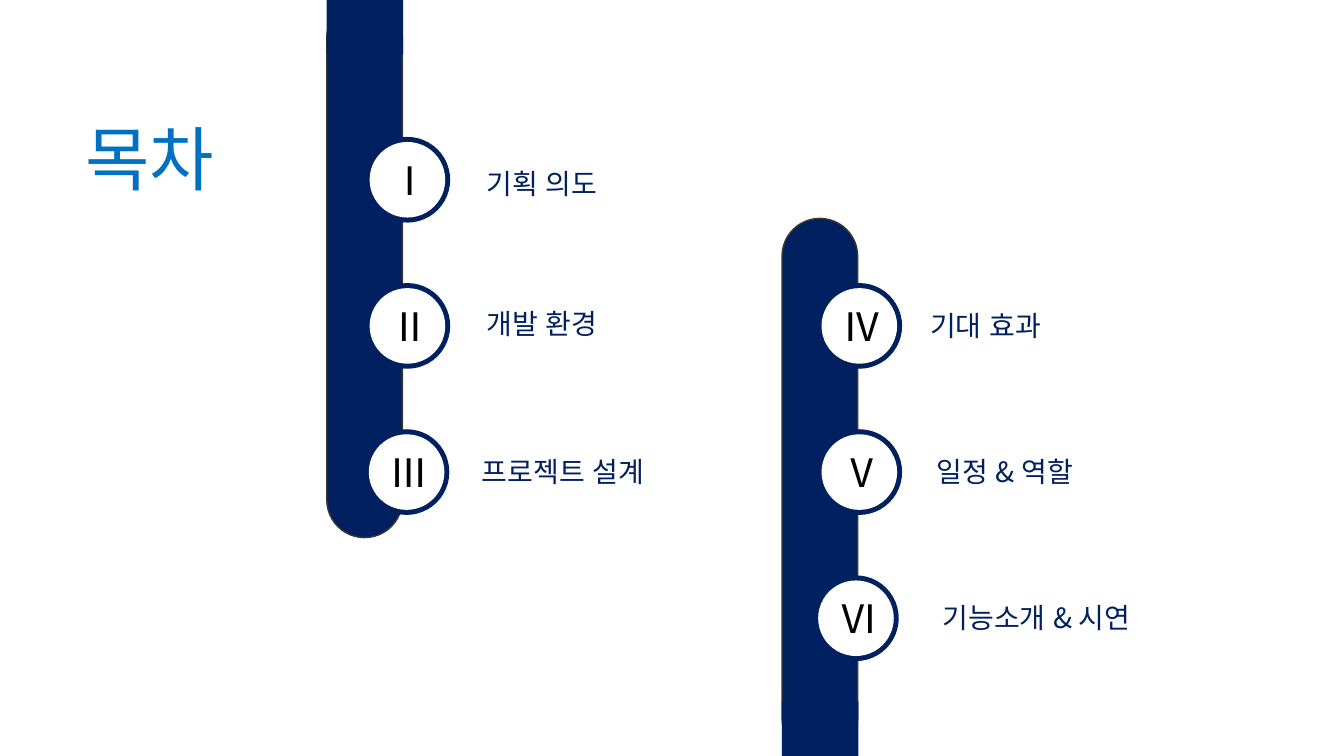
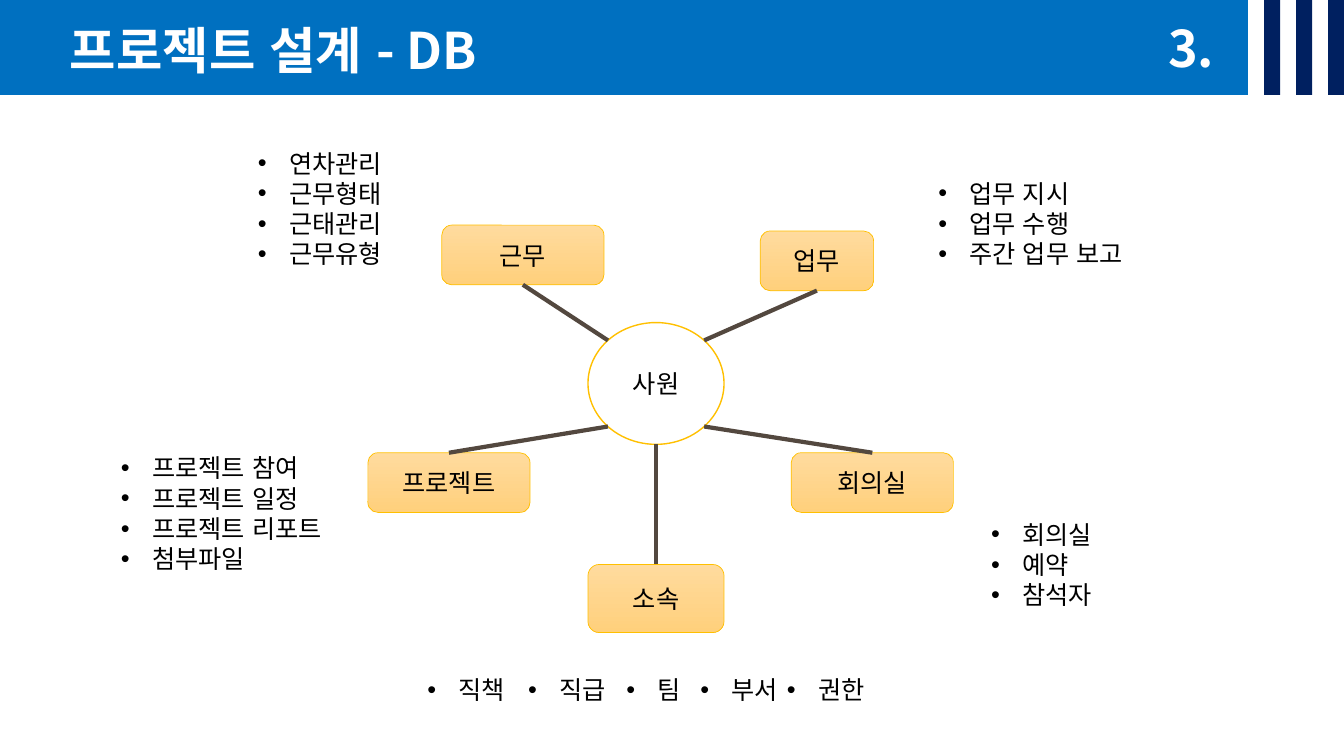
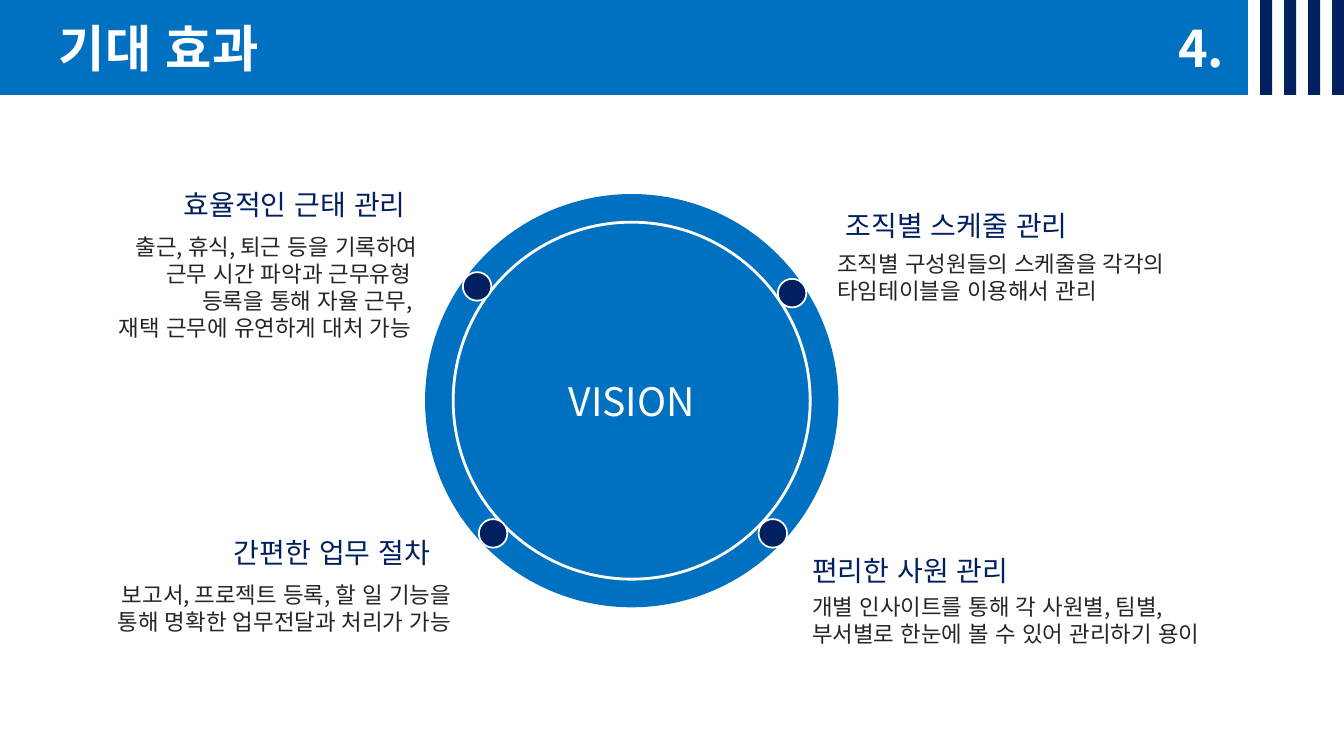
from math import cos, pi

from lxml.etree import SubElement
from pptx import Presentation
from pptx.dml.color import RGBColor
from pptx.enum.lang import MSO_LANGUAGE_ID
from pptx.enum.shapes import MSO_CONNECTOR, MSO_SHAPE
from pptx.enum.text import MSO_ANCHOR, MSO_AUTO_SIZE, PP_ALIGN
from pptx.oxml.ns import qn
from pptx.util import Inches, Pt

FONT = "Noto Sans CJK KR"
COLORS = {
    "blue": "0070C0", "navy": "002060", "white": "FFFFFF", "black": "000000",
    "text": "262626", "outline": "3D352F", "link": "53483F", "gold": "FFC000",
    "node_top": "FFDB9E", "node_bottom": "FFD07C",
}
COLUMNS, ROWS = 160, 90
BAND_HEIGHT = 11.3
TITLE_ONLY, FOUR_BODIES = 5, 4
LEFT, CENTER, RIGHT = PP_ALIGN.LEFT, PP_ALIGN.CENTER, PP_ALIGN.RIGHT


def color(name):
    return RGBColor.from_string(COLORS[name])


class Deck:
    """Holds the style and the current slide; lengths are grid columns and rows."""

    def __init__(self):
        self.presentation = Presentation()
        self.presentation.slide_width = Inches(13.33)
        self.presentation.slide_height = Inches(7.5)
        self.column = self.presentation.slide_width / COLUMNS
        self.row = self.presentation.slide_height / ROWS

    def box(self, left, top, width, height):
        return (round(left * self.column), round(top * self.row),
                round(width * self.column), round(height * self.row))

    def add_slide(self, layout):
        layouts = self.presentation.slide_layouts
        self.slide = self.presentation.slides.add_slide(layouts[layout])
        self.bodies = iter(list(self.slide.placeholders)[1:])

    def set_text(self, shape, text, size, fill, align=CENTER, anchor=MSO_ANCHOR.TOP,
                 bold=False, bullet=False):
        frame = shape.text_frame
        frame.text = text
        frame.word_wrap = True
        frame.auto_size = MSO_AUTO_SIZE.NONE
        frame.vertical_anchor = anchor
        for paragraph in frame.paragraphs:
            paragraph.alignment = align
            paragraph.space_before = Pt(0)
            self.set_bullet(paragraph, bullet)
            for run in paragraph.runs:
                run.font.size = Pt(size)
                run.font.bold = bold
                run.font.color.rgb = color(fill)
                run.font.name = FONT
                run.font.language_id = MSO_LANGUAGE_ID.KOREAN
                properties = run._r.get_or_add_rPr()
                SubElement(properties, qn("a:ea")).set("typeface", FONT)

    def set_bullet(self, paragraph, bullet):
        properties = paragraph._p.get_or_add_pPr()
        indent = Inches(0.31) if bullet else 0
        properties.set("marL", str(indent))
        properties.set("indent", str(-indent))
        if bullet:
            SubElement(properties, qn("a:buFont")).set("typeface", "Arial")
            SubElement(properties, qn("a:buChar")).set("char", "•")
        else:
            SubElement(properties, qn("a:buNone"))

    def place(self, shape, box):
        shape.left, shape.top, shape.width, shape.height = self.box(*box)

    def title(self, text, box, size=36, fill="white", bold=True):
        """Fill the title placeholder and bring it in front of the band."""
        title = self.slide.shapes.title
        self.place(title, box)
        self.set_text(title, text, size, fill, bold=bold)
        self.slide.shapes._spTree.append(title._element)

    def body(self, text, box, size, fill, **style):
        """Fill the next body placeholder of the layout."""
        body = next(self.bodies)
        self.place(body, box)
        self.set_text(body, text, size, fill, **style)

    def label(self, text, box, size, fill, **style):
        label = self.slide.shapes.add_textbox(*self.box(*box))
        self.set_text(label, text, size, fill, **style)

    def shape(self, kind, box, fill, line=None, line_width=1.0):
        shape = self.slide.shapes.add_shape(kind, *self.box(*box))
        shape.shadow.inherit = False
        shape.fill.solid()
        shape.fill.fore_color.rgb = color(fill)
        if line:
            shape.line.color.rgb = color(line)
            shape.line.width = Pt(line_width)
        else:
            shape.line.fill.background()
        return shape

    def circle(self, x, y, diameter, fill, line=None, line_width=1.0):
        """Draw a circle around the centre x, y."""
        box = (x - diameter / 2, y - diameter / 2, diameter, diameter)
        return self.shape(MSO_SHAPE.OVAL, box, fill, line, line_width)

    def header(self, title, title_box, number, number_left, stripes):
        self.shape(MSO_SHAPE.RECTANGLE, (0, 0, COLUMNS, BAND_HEIGHT), "blue")
        left = COLUMNS - 11.4
        self.shape(MSO_SHAPE.RECTANGLE, (left, 0, 11.4, BAND_HEIGHT), "white")
        width = 11.4 / (2 * stripes)
        for stripe in range(stripes):
            stripe_left = left + (2 * stripe + 1) * width
            self.shape(MSO_SHAPE.RECTANGLE, (stripe_left, 0, width, BAND_HEIGHT), "navy")
        self.title(title, title_box)
        self.label(number, (number_left, 1.4, 9.6, 8.5), 36, "white", bold=True)

    def bar(self, left, top, cap_top):
        """Draw a rounded bar whose end at the slide's edge is squared by a cap."""
        bar = self.shape(MSO_SHAPE.ROUNDED_RECTANGLE, (left, top, 9, 64), "navy", "outline")
        bar.adjustments[0] = 0.5
        self.shape(MSO_SHAPE.RECTANGLE, (left, cap_top, 9.1, 6.5), "navy")

    def badge(self, numeral, x, y):
        self.circle(x, y, 10.2, "navy")
        disk = self.circle(x, y, 9, "white")
        self.set_text(disk, numeral, 28, "black", anchor=MSO_ANCHOR.MIDDLE)

    def node(self, text, box):
        node = self.shape(MSO_SHAPE.ROUNDED_RECTANGLE, box, "node_top", "gold", 0.5)
        node.fill.gradient()
        node.fill.gradient_angle = 270
        for stop, name in zip(node.fill.gradient_stops, ("node_top", "node_bottom")):
            stop.color.rgb = color(name)
        self.set_text(node, text, 18, "black", anchor=MSO_ANCHOR.MIDDLE)
        return node

    def link(self, x, y, node, side):
        """Join the point x, y to the middle of a side of the node."""
        start_x, start_y, _, _ = self.box(x, y, 0, 0)
        connector = self.slide.shapes.add_connector(
            MSO_CONNECTOR.STRAIGHT, start_x, start_y, start_x, start_y)
        connector.end_connect(node, side)
        connector.line.color.rgb = color("link")
        connector.line.width = Pt(3)
        SubElement(connector._element.spPr, qn("a:effectLst"))


def contents_slide(deck):
    deck.add_slide(TITLE_ONLY)
    deck.title("목차", (7.9, 13.2, 19.8, 11.3), 50, "blue", bold=False)
    deck.bar(38.9, 0, 0)
    deck.bar(93.1, 26, 83.5)
    chapters = [
        ("Ⅰ", 48.5, "기획 의도", (55.6, 19.2, 17.8)),
        ("Ⅱ", 48.5, "개발 환경", (55.6, 35.9, 17.8)),
        ("Ⅲ", 48.4, "프로젝트 설계", (55.6, 53.5, 22.9)),
        ("Ⅳ", 102.3, "기대 효과", (108, 36.1, 18.7)),
        ("Ⅴ", 102.3, "일정 & 역할", (108.5, 53.5, 22.2)),
        ("Ⅵ", 101.9, "기능소개 & 시연", (109, 70.9, 28.8)),
    ]
    for index, (numeral, x, text, label_box) in enumerate(chapters):
        column, step = divmod(index, 3)
        deck.badge(numeral, x, 21.4 + 17.4 * (step + column))
        deck.label(text, (*label_box, 5.3), 20, "navy")


def database_slide(deck):
    deck.add_slide(FOUR_BODIES)
    deck.header("프로젝트 설계 - DB", (2.9, 1.7, 59.3, 8.5), "3.", 137, 3)

    left, top, width, height = hub_box = (70, 38.4, 16.2, 14.5)
    hub = deck.shape(MSO_SHAPE.OVAL, hub_box, "white", "gold")
    deck.set_text(hub, "사원", 18, "black", anchor=MSO_ANCHOR.MIDDLE)
    # Each node: text, box, and the direction of its link from the hub's centre.
    diagonal = cos(pi / 4)
    nodes = [
        ("근무", (52.6, 26.8, 19.3, 7.1), -diagonal, -diagonal),
        ("업무", (90.5, 27.5, 13.5, 7.1), diagonal, -diagonal),
        ("프로젝트", (43.8, 53.9, 19.3, 7.1), -diagonal, diagonal),
        ("회의실", (94.2, 53.9, 19.3, 7.1), diagonal, diagonal),
        ("소속", (70, 67.2, 16.2, 8.1), 0, 1),
    ]
    for text, box, across, down in nodes:
        node = deck.node(text, box)
        deck.link(left + width / 2 * (1 + across), top + height / 2 * (1 + down),
                  node, 2 if down < 0 else 0)

    lists = [
        ("연차관리\n근무형태\n근태관리\n근무유형", (29.5, 17, 20, 15.7)),
        ("업무 지시\n업무 수행\n주간 업무 보고", (110.5, 20.6, 31.8, 15.7)),
        ("프로젝트 참여\n프로젝트 일정\n프로젝트 리포트\n첨부파일", (13.2, 53.3, 31.8, 15.7)),
        ("회의실\n예약\n참석자", (116.8, 61.2, 31.8, 12.1)),
    ]
    for text, box in lists:
        deck.body(text, box, 18, "black", align=LEFT, bullet=True)
    membership = [("직책", 49.7), ("직급", 61.7), ("팀", 73.4), ("부서", 82.2), ("권한", 92.5)]
    for text, item_left in membership:
        deck.label(text, (item_left, 79.7, 14.3, 4.8), 18, "black", align=LEFT, bullet=True)


def vision_slide(deck):
    deck.add_slide(FOUR_BODIES)
    deck.header("기대 효과", (-0.1, 1.4, 38, 8.5), "4.", 138.2, 4)

    deck.circle(75.2, 47.7, 49.2, "blue")
    ring = deck.circle(75.2, 47.7, 42.5, "blue", "white", 2)
    deck.set_text(ring, "VISION", 28, "white", anchor=MSO_ANCHOR.MIDDLE)
    for x, y in [(56.8, 34.1), (94.3, 34.9), (58.7, 63.5), (92, 63.5)]:
        deck.circle(x, y, 3.4, "navy", "white", 1.25)

    effects = [
        ("효율적인 근태 관리", (18.7, 21.7, 30.8),
         "출근, 휴식, 퇴근 등을 기록하여\n근무 시간 파악과 근무유형 \n"
         "등록을 통해 자율 근무, \n재택 근무에 유연하게 대처 가능 ",
         (4.3, 27.2, 46.6, 14.2), RIGHT),
        ("조직별 스케줄 관리", (99.5, 24.2, 31),
         "조직별 구성원들의 스케줄을 각각의 타임테이블을 이용해서 관리",
         (98.5, 29.2, 43.4, 7.7), LEFT),
        ("간편한 업무 절차", (25.3, 63.2, 27.1),
         "보고서, 프로젝트 등록, 할 일 기능을 통해 명확한 업무전달과 처리가 가능",
         (10.9, 68.6, 44, 11), RIGHT),
        ("편리한 사원 관리", (95.5, 65.3, 27.5),
         "개별 인사이트를 통해 각 사원별, 팀별, 부서별로 한눈에 볼 수 있어 관리하기 용이",
         (95.5, 70, 53.5, 10.9), LEFT),
    ]
    for heading, heading_box, description, description_box, align in effects:
        deck.label(heading, (*heading_box, 5.3), 20, "navy", align=align)
        deck.body(description, description_box, 16, "text", align=align)


def main():
    deck = Deck()
    contents_slide(deck)
    database_slide(deck)
    vision_slide(deck)
    deck.presentation.save("out.pptx")


if __name__ == "__main__":
    main()
